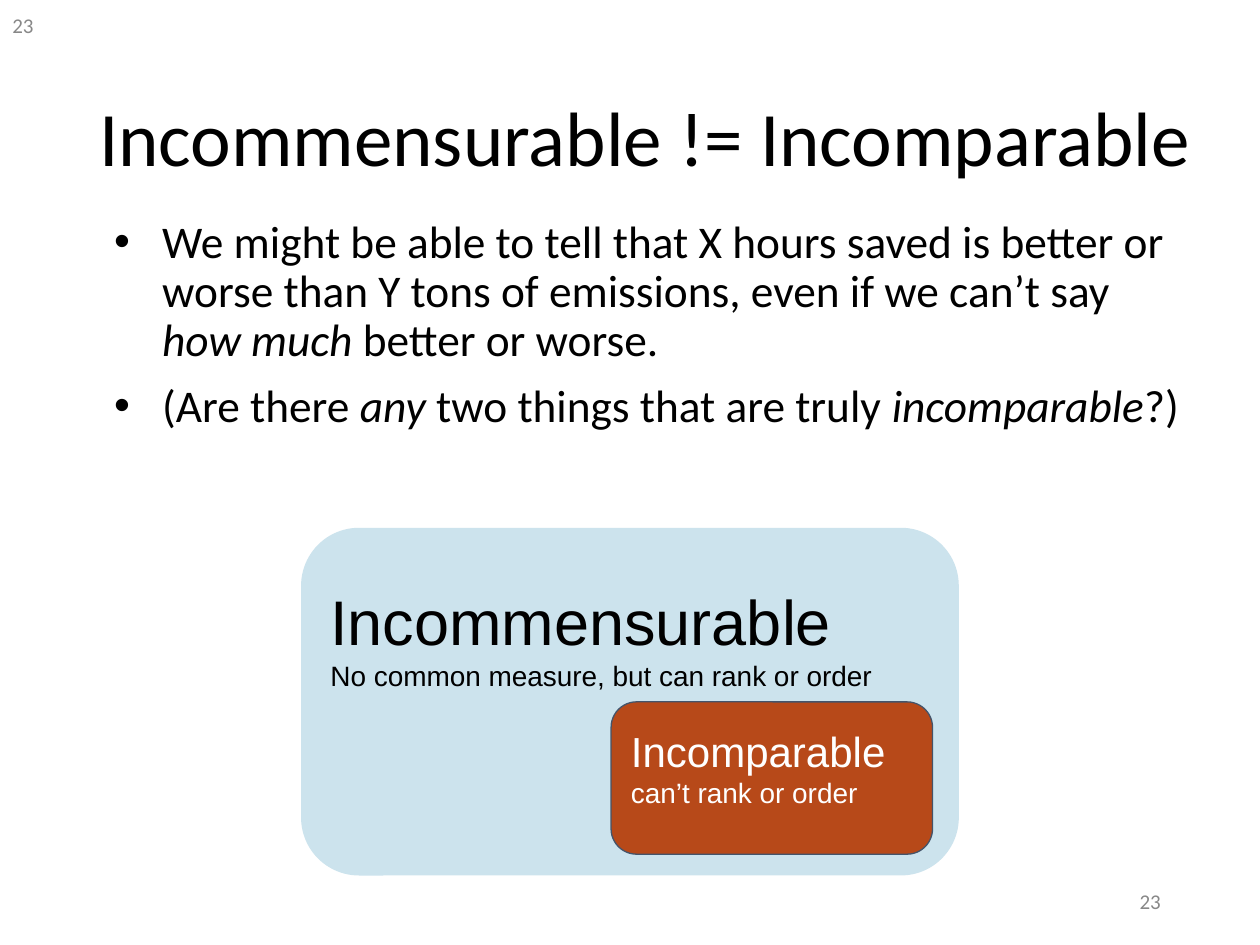
"""Build the slide that sets incommensurable apart from incomparable."""
from lxml.etree import SubElement
from pptx import Presentation
from pptx.dml.color import RGBColor
from pptx.enum.shapes import MSO_SHAPE as Shape
from pptx.enum.text import MSO_ANCHOR as Anchor, PP_ALIGN as Align
from pptx.oxml.ns import qn
from pptx.util import Cm, Pt


def color(value):
    return RGBColor.from_string(value)


def style(font, name, size, value):
    font.name = name
    font.size = Pt(size)
    font.color.rgb = color(value)


deck = Presentation()
deck.slide_width, deck.slide_height = Cm(25.4), Cm(19.05)
page = deck.slides.add_slide(deck.slide_layouts[6])

labels = [
    ("23", 0, 0, 5.72, 1.02, 12, "888888", Align.LEFT),
    ("Incommensurable != Incomparable", 1.75, 1.02, 22.76, 3.68, 44, "000000", Align.LEFT),
    ("23", 17.93, 17.65, 5.72, 1.02, 12, "888888", Align.RIGHT),
]
for text, left, top, width, height, size, ink, align in labels:
    box = page.shapes.add_textbox(Cm(left), Cm(top), Cm(width), Cm(height))
    frame = box.text_frame
    frame.word_wrap = True
    frame.vertical_anchor = Anchor.MIDDLE
    frame.text = text
    para = frame.paragraphs[0]
    para.alignment = align
    para.line_spacing = 0.9 if size == 44 else 1.0
    style(para.runs[0].font, "Calibri", size, ink)

bullets = [
    [
        ("We might be able to tell that X hours saved is better or worse than Y tons "
         "of emissions, even if we can’t say ", False),
        ("how much", True),
        (" better or worse.", False),
    ],
    [
        ("(Are there ", False),
        ("any", True),
        (" two things that are truly ", False),
        ("incomparable", True),
        ("?)", False),
    ],
]
body = page.shapes.add_textbox(Cm(1.75), Cm(4.29), Cm(22.5), Cm(5.23)).text_frame
body.word_wrap = True
for index, pieces in enumerate(bullets):
    para = body.add_paragraph() if index else body.paragraphs[0]
    para.line_spacing = 0.9
    if index:
        para.space_before = Pt(10)
    props = para._p.get_or_add_pPr()
    props.set("marL", str(Cm(1.27)))
    props.set("indent", str(Cm(-0.97)))
    SubElement(props, qn("a:buFont"), typeface="Arial")
    SubElement(props, qn("a:buChar"), char="•")
    for text, italic in pieces:
        span = para.add_run()
        span.text = text
        span.font.italic = italic
        style(span.font, "Calibri", 25.9, "000000")

cards = [
    ("Incommensurable", "No common measure, but can rank or order",
     6.07, 10.64, 13.26, 7.01, 0.77, 36, "CCE3ED", None, "000000"),
    ("Incomparable", "can’t rank or order",
     12.32, 14.15, 6.48, 3.07, 0.32, 24, "B74919", "44546A", "FFFFFF"),
]
for heading, detail, left, top, width, height, inset, size, fill, edge, ink in cards:
    card = page.shapes.add_shape(
        Shape.ROUNDED_RECTANGLE, Cm(left), Cm(top), Cm(width), Cm(height))
    card.shadow.inherit = False
    card.fill.solid()
    card.fill.fore_color.rgb = color(fill)
    if edge:
        card.line.color.rgb = color(edge)
        card.line.width = Pt(0.75)
    else:
        card.line.fill.background()
    frame = card.text_frame
    frame.word_wrap = True
    frame.vertical_anchor = Anchor.TOP
    frame.margin_top = Cm(inset)
    frame.text = f"{heading}\n{detail}"
    for para, points in zip(frame.paragraphs, (size, 16)):
        para.alignment = Align.LEFT
        style(para.runs[0].font, "Arial", points, ink)

deck.save("out.pptx")
